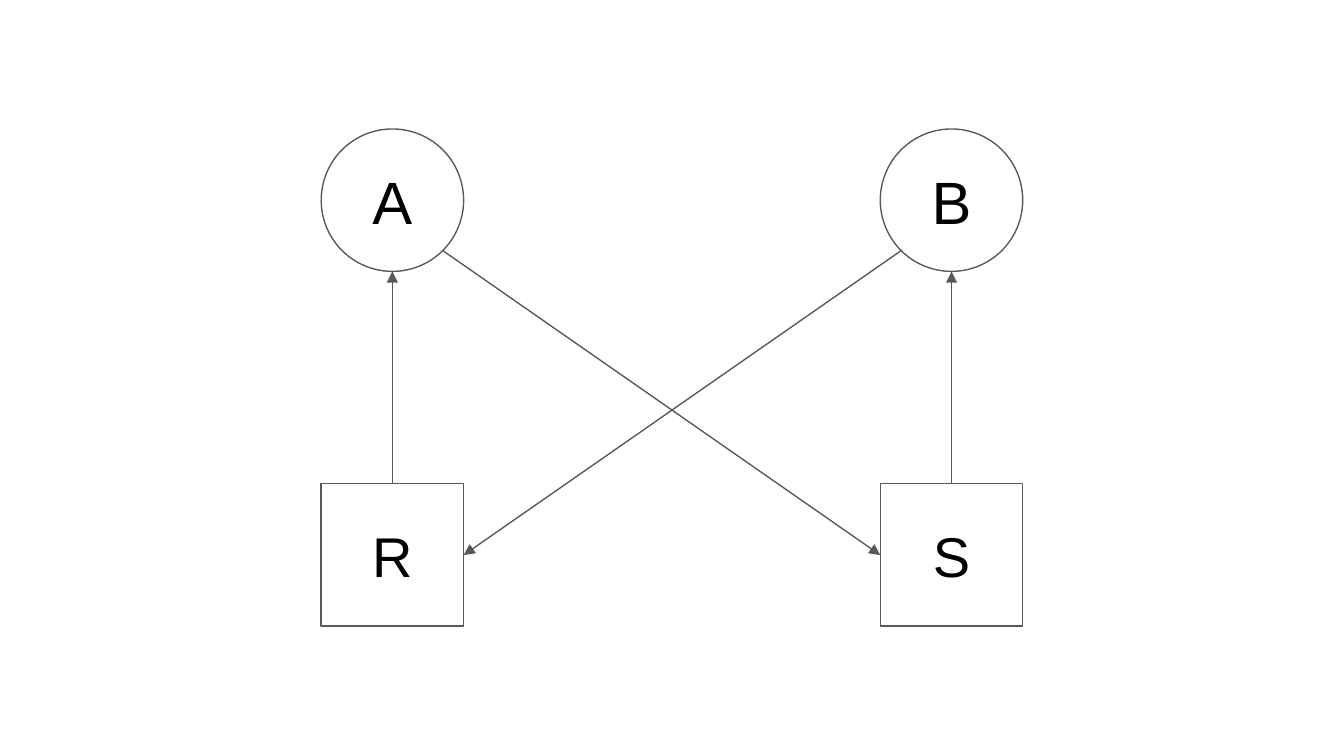
from pptx import Presentation
from pptx import util as u
from pptx.dml.color import RGBColor
from pptx.enum import shapes, text
from pptx.oxml.ns import qn
from lxml import etree

GRAY = RGBColor(0x59, 0x59, 0x59)
BLACK = RGBColor(0, 0, 0)

SLIDE_WIDTH = 10
SLIDE_HEIGHT = SLIDE_WIDTH * 9 / 16
SIZE = 1.06
LEFT_X = 2.39
RIGHT_X = SLIDE_WIDTH - LEFT_X - SIZE
PROCESS_Y, RESOURCE_Y = 0.96, 3.6


class Diagram:
    """Holds the style and the slide being drawn on."""

    font = "Arial"
    line_width = u.Pt(0.75)
    inset = u.Inches(0.1)

    def __init__(self, slide):
        self.slide = slide

    def style_line(self, line):
        line.color.rgb = GRAY
        line.width = self.line_width

    def node(self, kind, label, x, y, font_size):
        sp = self.slide.shapes.add_shape(
            kind, u.Inches(x), u.Inches(y), u.Inches(SIZE), u.Inches(SIZE))
        sp.shadow.inherit = False
        sp.fill.background()
        self.style_line(sp.line)
        tf = sp.text_frame
        tf.word_wrap = True
        tf.vertical_anchor = text.MSO_ANCHOR.MIDDLE
        tf.margin_left = tf.margin_right = self.inset
        tf.margin_top = tf.margin_bottom = self.inset
        p = tf.paragraphs[0]
        p.text = label
        p.alignment = text.PP_ALIGN.CENTER
        p.font.name = self.font
        p.font.size = u.Pt(font_size)
        p.font.color.rgb = BLACK

    def arrow(self, start, end):
        points = [u.Inches(v) for v in (*start, *end)]
        cxn = self.slide.shapes.add_connector(
            shapes.MSO_CONNECTOR.STRAIGHT, *points)
        self.style_line(cxn.line)
        ln = cxn._element.spPr.find(qn("a:ln"))
        etree.SubElement(ln, qn("a:tailEnd"), type="triangle")
        etree.SubElement(cxn._element.spPr, qn("a:effectLst"))


def main():
    prs = Presentation()
    prs.slide_width = u.Inches(SLIDE_WIDTH)
    prs.slide_height = u.Inches(SLIDE_HEIGHT)
    d = Diagram(prs.slides.add_slide(prs.slide_layouts[6]))

    columns = (LEFT_X, RIGHT_X)
    rows = ((shapes.MSO_SHAPE.OVAL, "AB", PROCESS_Y, 32),
            (shapes.MSO_SHAPE.RECTANGLE, "RS", RESOURCE_Y, 30))
    for kind, labels, y, font_size in rows:
        for x, label in zip(columns, labels):
            d.node(kind, label, x, y, font_size)

    half = SIZE / 2
    for x in columns:
        d.arrow((x + half, RESOURCE_Y), (x + half, PROCESS_Y + SIZE))

    # Each process points to the facing side of the opposite resource.
    diagonal = half * 0.5 ** 0.5
    process_y = PROCESS_Y + half + diagonal
    resource_y = RESOURCE_Y + half
    d.arrow((RIGHT_X + half - diagonal, process_y), (LEFT_X + SIZE, resource_y))
    d.arrow((LEFT_X + half + diagonal, process_y), (RIGHT_X, resource_y))

    prs.save("out.pptx")


if __name__ == "__main__":
    main()
